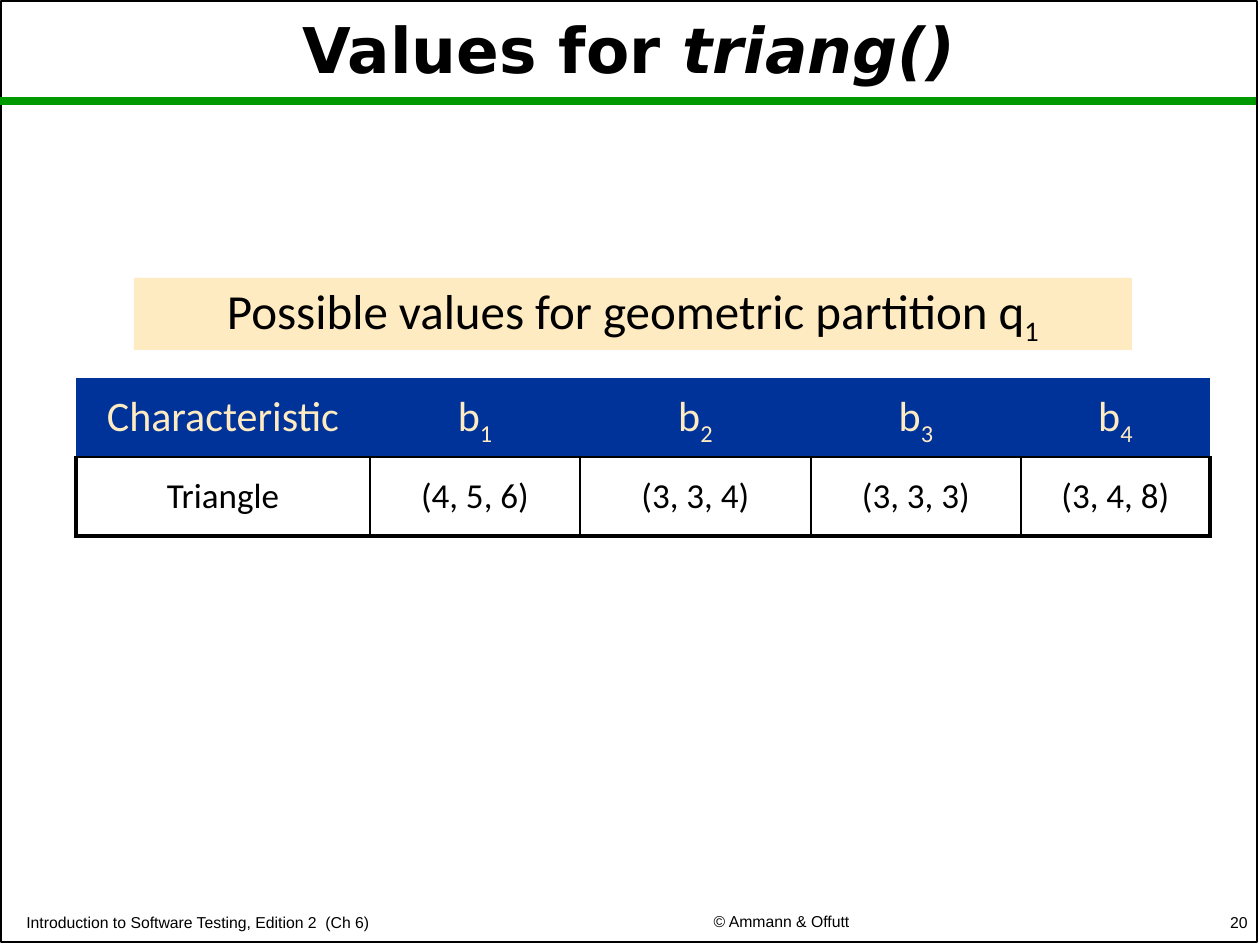
from dataclasses import dataclass

from lxml.etree import SubElement as Sub
from pptx import Presentation
from pptx.dml.color import RGBColor as RGB
from pptx.enum.shapes import MSO_CONNECTOR as Conn, MSO_SHAPE as Shape
from pptx.enum.text import MSO_ANCHOR as Anchor, PP_ALIGN as Align
from pptx.oxml.ns import qn
from pptx.util import Emu, Pt

SCALE = 914400 / 126
NO_STYLE = "{2D5ABB26-0587-4C30-8999-92F81FD0307C}"


@dataclass(frozen=True)
class Theme:
    ink: str = "000000"
    paper: str = "FFFFFF"
    rule: str = "009900"
    cream: str = "FFEBC2"
    navy: str = "003399"
    title: int = 36
    banner: int = 28
    head: int = 24
    body: int = 20
    foot: int = 9
    thin: float = 1
    thick: float = 2.25
    bar: float = 4.5
    sans: str = "Calibri"
    wide: str = "DejaVu Sans"
    small: str = "Arial"


def px(*nums):
    return [Emu(round(n * SCALE)) for n in nums]


class Deck:
    def __init__(self, theme):
        self.theme = theme
        self.prs = Presentation()
        self.prs.slide_width, self.prs.slide_height = px(1260, 945)
        self.slide = self.prs.slides.add_slide(self.prs.slide_layouts[5])
        self.shapes = self.slide.shapes

    def text(self, frame, runs, size, face, color=None, align=Align.CENTER,
             space=None, bold=False):
        """Fill the first paragraph with (text, kind) runs; kind is "", "sub" or "it"."""
        para = frame.paragraphs[0]
        para.alignment = align
        para.space_before = Pt(0)
        para.line_spacing = space
        for text, kind in runs:
            run = para.add_run()
            run.text = text
            font = run.font
            font.size, font.name, font.bold = Pt(size), face, bold
            font.italic = kind == "it"
            font.color.rgb = RGB.from_string(color or self.theme.ink)
            if kind == "sub":
                run._r.get_or_add_rPr().set("baseline", "-25000")

    def title(self, box, runs):
        shape = self.shapes.title
        shape.left, shape.top, shape.width, shape.height = px(*box)
        shape.text_frame.vertical_anchor = Anchor.MIDDLE
        self.text(shape.text_frame, runs, self.theme.title, self.theme.wide,
                  space=0.9, bold=True)

    def rect(self, box, fill=None, line=None):
        shape = self.shapes.add_shape(Shape.RECTANGLE, *px(*box))
        shape.shadow.inherit = False
        if fill:
            shape.fill.solid()
            shape.fill.fore_color.rgb = RGB.from_string(fill)
        else:
            shape.fill.background()
        if line:
            shape.line.color.rgb = RGB.from_string(line)
            shape.line.width = Pt(self.theme.thin)
        else:
            shape.line.fill.background()
        return shape

    def banner(self, box, runs):
        frame = self.rect(box, fill=self.theme.cream).text_frame
        frame.word_wrap = True
        frame.vertical_anchor = Anchor.MIDDLE
        self.text(frame, runs, self.theme.banner, self.theme.sans)

    def rule(self, ends):
        line = self.shapes.add_connector(Conn.STRAIGHT, *px(*ends))
        line.line.color.rgb = RGB.from_string(self.theme.rule)
        line.line.width = Pt(self.theme.bar)
        Sub(line._element.spPr, qn("a:effectLst"))

    def note(self, box, text, align):
        frame = self.shapes.add_textbox(*px(*box)).text_frame
        frame.word_wrap = True
        frame.vertical_anchor = Anchor.BOTTOM
        self.text(frame, [(text, "")], self.theme.foot, self.theme.small, align=align)

    def edge(self, cell, side, width):
        line = Sub(cell._tc.get_or_add_tcPr(), qn(f"a:ln{side}"), w=str(Pt(width)))
        Sub(Sub(line, qn("a:solidFill")), qn("a:srgbClr"), val=self.theme.ink)

    def table(self, left, top, cols, high, rows):
        """Draw a header row, then rows boxed by a thick outer edge."""
        look = self.theme
        box = px(left, top, sum(cols), high * len(rows))
        table = self.shapes.add_table(len(rows), len(cols), *box).table
        table.first_row = table.horz_banding = False
        table._tbl.tblPr.find(qn("a:tableStyleId")).text = NO_STYLE
        for col, width in zip(table.columns, px(*cols)):
            col.width = width
        last = len(cols) - 1
        for r, row in enumerate(rows):
            table.rows[r].height = px(high)[0]
            for c, runs in enumerate(row):
                cell = table.cell(r, c)
                if r:
                    outer = {"L": c == 0, "R": c == last, "T": False,
                             "B": r == len(rows) - 1}
                    for side, wide in outer.items():
                        self.edge(cell, side, look.thick if wide else look.thin)
                cell.fill.solid()
                cell.fill.fore_color.rgb = RGB.from_string(look.paper if r else look.navy)
                cell.vertical_anchor = Anchor.MIDDLE
                self.text(cell.text_frame, runs, look.body if r else look.head,
                          look.sans, look.ink if r else look.cream, space=0.9)


def main():
    theme = Theme()
    deck = Deck(theme)
    deck.rect((1, 1, 1256, 941), line=theme.ink)
    deck.rule((0, 101, 1256, 101))
    deck.title((1, 14, 1256, 79), [("Values for ", ""), ("triang()", "it")])
    deck.banner((134, 278, 998, 72),
                [("Possible values for geometric partition q", ""), ("1", "sub")])
    head = [[("Characteristic", "")]]
    head += [[("b", ""), (str(n), "sub")] for n in range(1, 5)]
    words = ["Triangle", "(4, 5, 6)", "(3, 3, 4)", "(3, 3, 3)", "(3, 4, 8)"]
    deck.table(76, 378, (294, 210, 231, 210, 189), 79,
               [head, [[(word, "")] for word in words]])
    deck.note((14, 905, 543, 33), "Introduction to Software Testing, Edition 2  (Ch 6)",
              Align.LEFT)
    deck.note((582, 904, 399, 33), "© Ammann & Offutt", Align.CENTER)
    deck.note((998, 903, 262, 35), "20", Align.RIGHT)
    deck.prs.save("out.pptx")


if __name__ == "__main__":
    main()
